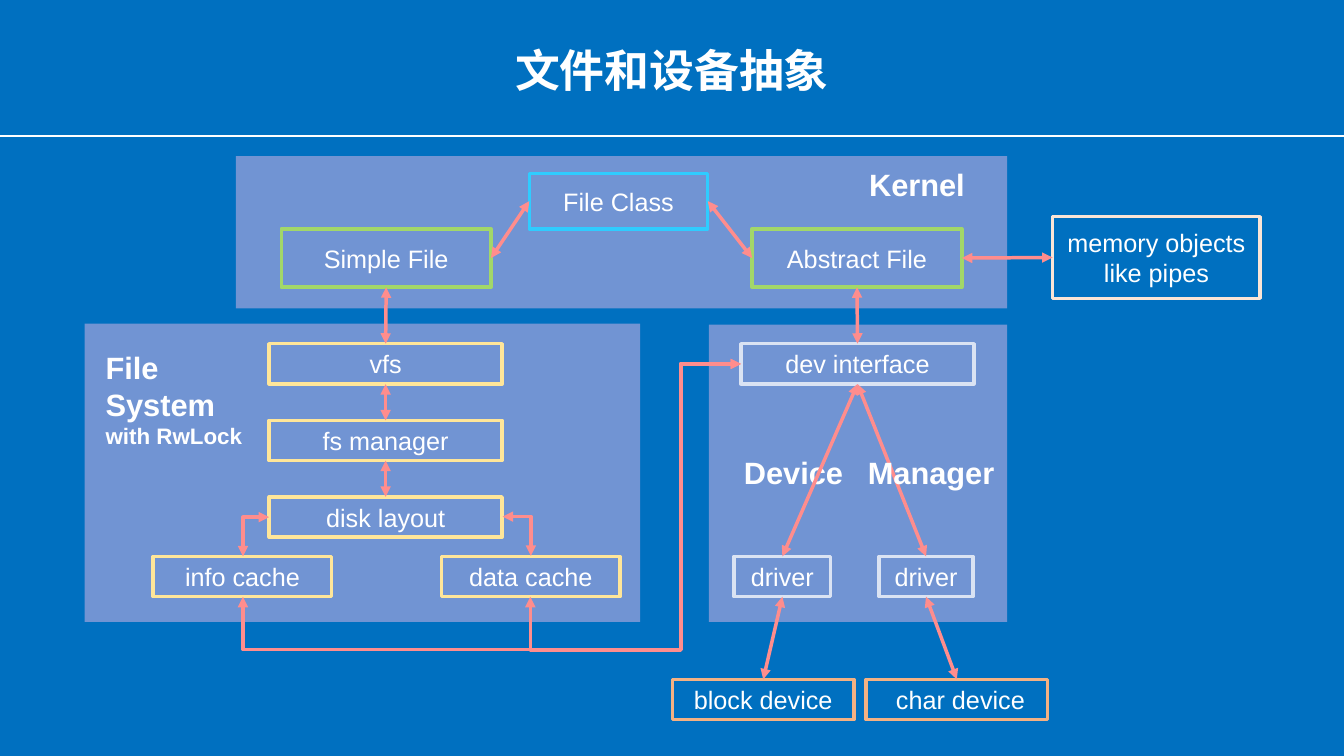
from dataclasses import dataclass

from lxml.etree import SubElement
from pptx import Presentation
from pptx.dml.color import RGBColor
from pptx.enum.shapes import MSO_CONNECTOR as Link, MSO_SHAPE as Form
from pptx.enum.text import MSO_ANCHOR as Anchor, MSO_AUTO_SIZE as Fit, PP_ALIGN as Align
from pptx.oxml.ns import qn
from pptx.util import Inches, Pt


@dataclass(frozen=True)
class Theme:
    font: str = "Arial"
    back: str = "0070C0"
    panel: str = "7194D3"
    white: str = "FFFFFF"
    arrow: str = "FF8D8D"
    top: str = "2FCCFF"
    file: str = "A2D769"
    store: str = "FFE699"
    device: str = "DAE3F3"
    memory: str = "FBE5D6"
    hard: str = "F4B183"
    title: int = 32
    head: int = 22
    body: int = 18
    note: int = 16
    rule: float = 1.5
    edge: float = 2.5


THEME = Theme()
TOP, LEFT, BOTTOM, RIGHT = range(4)


def put(item, values):
    for name, value in values.items():
        setattr(item, name, value)


def paint(fill, color):
    fill.solid()
    fill.fore_color.rgb = RGBColor.from_string(color)


def stroke(line, color, width):
    paint(line.fill, color)
    line.width = Pt(width)


def write(frame, lines, align, bold=False):
    """Fill a text frame from (text, size) pairs, one paragraph each."""
    for i, (text, size) in enumerate(lines):
        para = frame.add_paragraph() if i else frame.paragraphs[0]
        para.alignment = align
        run = para.add_run()
        run.text = text
        put(run.font, {"name": THEME.font, "size": Pt(size), "bold": bold})
        run.font.color.rgb = RGBColor.from_string(THEME.white)


def rect(slide, area):
    shape = slide.shapes.add_shape(Form.RECTANGLE, *map(Inches, area))
    shape.shadow.inherit = False
    return shape


def panel(slide, *area):
    shape = rect(slide, area)
    paint(shape.fill, THEME.panel)
    shape.line.fill.background()


def box(slide, text, color, *area):
    shape = rect(slide, area)
    shape.fill.background()
    stroke(shape.line, color, THEME.edge)
    put(shape.text_frame, {"vertical_anchor": Anchor.MIDDLE, "word_wrap": True})
    write(shape.text_frame, [(part, THEME.body) for part in text.split("\n")], Align.CENTER)
    return shape


def label(slide, lines, area, align=Align.LEFT, anchor=Anchor.TOP, fit=Fit.SHAPE_TO_FIT_TEXT):
    frame = slide.shapes.add_textbox(*map(Inches, area)).text_frame
    put(frame, {"word_wrap": True, "auto_size": fit, "vertical_anchor": anchor})
    write(frame, lines, align, True)
    return frame.paragraphs[0]


def tab(para, stop):
    """Set a left tab stop, in inches from the text edge."""
    stops = SubElement(para._p.get_or_add_pPr(), qn("a:tabLst"))
    SubElement(stops, qn("a:tab"), pos=str(Inches(stop)), algn="l")


def wire(slide, kind, color, width, ends=(0, 0, 0, 0)):
    line = slide.shapes.add_connector(kind, *map(Inches, ends))
    stroke(line.line, color, width)
    SubElement(line._element.spPr, qn("a:effectLst"))
    return line


def link(slide, start, end, kind=Link.STRAIGHT):
    """Join two (box, side) pairs with a double arrow."""
    line = wire(slide, kind, THEME.arrow, THEME.edge)
    line.begin_connect(*start)
    line.end_connect(*end)
    for tip in ("a:headEnd", "a:tailEnd"):
        SubElement(line.line._get_or_add_ln(), qn(tip), type="triangle")
    return line


def bend(slide, start, end, area, turn, form, *adjusts):
    """Join two boxes with a bent arrow, flipped vertically and turned."""
    line = link(slide, start, end, Link.ELBOW)
    put(line, dict(zip(("left", "top", "width", "height"), map(Inches, area))))
    props = line._element.spPr
    frame = props.find(qn("a:xfrm"))
    frame.attrib.pop("flipH", None)
    frame.set("rot", str(turn * 60000))
    frame.set("flipV", "1")
    geom = props.find(qn("a:prstGeom"))
    geom.set("prst", form)
    values = geom.find(qn("a:avLst"))
    for i, value in enumerate(adjusts, 1):
        SubElement(values, qn("a:gd"), name=f"adj{i}", fmla=f"val {round(value * 100000)}")


def main():
    deck = Presentation()
    put(deck, {"slide_width": Inches(13.33), "slide_height": Inches(7.5)})
    slide = deck.slides.add_slide(deck.slide_layouts[6])
    paint(slide.background.fill, THEME.back)

    wire(slide, Link.STRAIGHT, THEME.white, THEME.rule, (0, 1.35, 13.33, 1.35))
    title = label(slide, [("文件和设备抽象", THEME.title)], (1.77, 0.36, 9.79, 0.65),
                  Align.CENTER, Anchor.BOTTOM, Fit.NONE)
    title.line_spacing = 0.9

    panel(slide, 2.34, 1.55, 7.65, 1.51)
    panel(slide, 7.03, 3.22, 2.96, 2.95)
    panel(slide, 0.84, 3.21, 5.51, 2.96)

    root = box(slide, "File Class", THEME.top, 5.25, 1.72, 1.77, 0.55)
    simple, abstract = [
        box(slide, text, THEME.file, x, 2.27, 2.08, 0.58)
        for text, x in (("Simple File", 2.79), ("Abstract File", 7.46))]
    vfs, manager, disk = [
        box(slide, text, THEME.store, 2.67, 3.41 + 0.76 * i, 2.31, 0.4)
        for i, text in enumerate(("vfs", "fs manager", "disk layout"))]
    info, data = [
        box(slide, text, THEME.store, x, 5.52, 1.77, 0.4)
        for text, x in (("info cache", 1.52), ("data cache", 4.38))]
    dev = box(slide, "dev interface", THEME.device, 7.35, 3.41, 2.31, 0.4)
    memory = box(slide, "memory objects\nlike pipes", THEME.memory, 10.44, 2.15, 2.06, 0.81)
    block, char = [
        box(slide, text, THEME.hard, x, 6.74, 1.8, 0.4)
        for text, x in (("block device", 6.67), ("char device", 8.59))]
    char.text_frame.margin_left = Inches(0.17)
    first, second = [
        box(slide, "driver", THEME.device, x, 5.52, wide, 0.4)
        for x, wide in ((7.28, 0.96), (8.72, 0.93))]

    for upper, lower in ((simple, vfs), (vfs, manager), (manager, disk),
                         (abstract, dev), (dev, second), (second, char), (first, block)):
        link(slide, (lower, TOP), (upper, BOTTOM))
    link(slide, (abstract, RIGHT), (memory, LEFT))
    link(slide, (simple, RIGHT), (root, LEFT))
    link(slide, (abstract, LEFT), (root, RIGHT))

    bend(slide, (disk, LEFT), (info, TOP), (2.41, 5.13, 0.26, 0.39), 180, "bentConnector2")
    bend(slide, (data, TOP), (disk, RIGHT), (4.93, 5.18, 0.39, 0.28), 270, "bentConnector2")
    for cache, x, across, down in ((data, 5.26, 0.288, 1.229), (info, 2.41, 0.121, 1.227)):
        bend(slide, (dev, LEFT), (cache, BOTTOM), (x, 3.61, 7.35 - x, 2.31),
             180, "bentConnector4", across, down)

    label(slide, [("Kernel", THEME.head)], (8.37, 1.59, 1.45, 0.47), Align.CENTER)
    label(slide, [("File System", THEME.head), ("with RwLock", THEME.note)],
          (0.95, 3.41, 1.6, 1.38))
    tab(label(slide, [("Device\tManager", THEME.head)], (7.28, 4.45, 2.8, 0.47)), 1.23)
    link(slide, (first, TOP), (dev, BOTTOM))

    deck.save("out.pptx")


if __name__ == "__main__":
    main()
